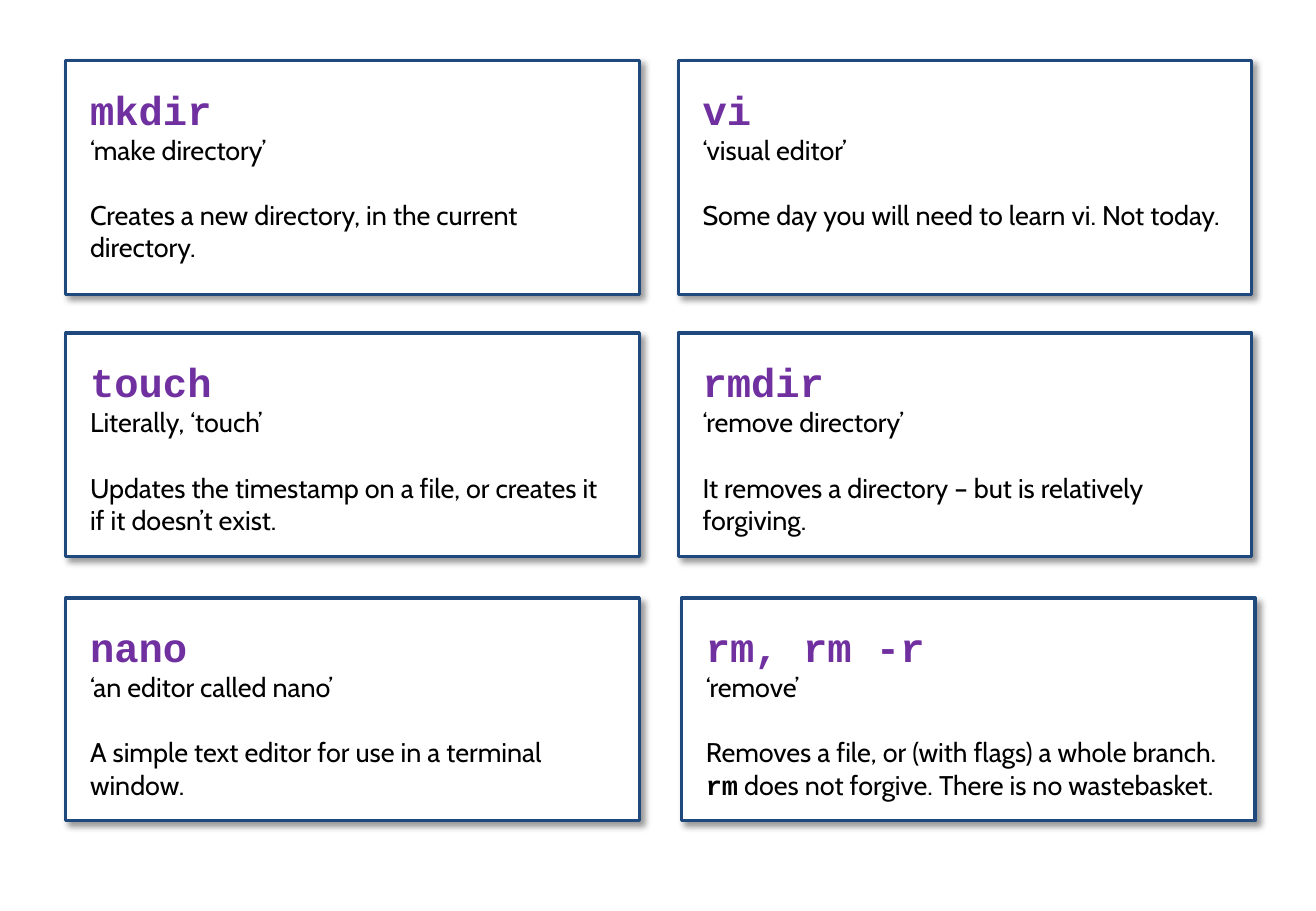
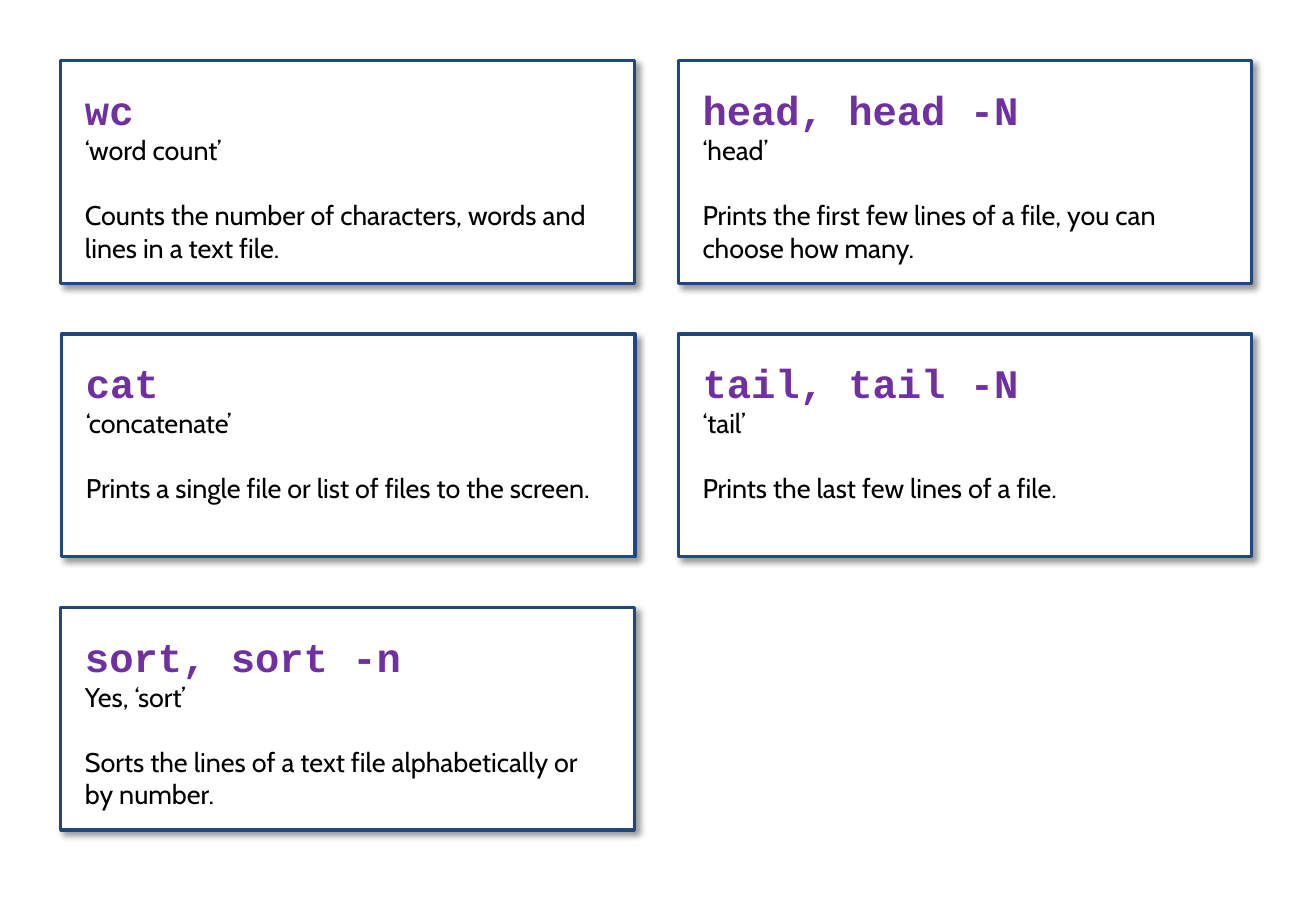
from lxml import etree
from pptx import Presentation
from pptx.dml.color import RGBColor
from pptx.enum import shapes, text
from pptx.oxml import ns
from pptx.util import Pt

COLORS = {"card": "FFFFFF", "border": "1F497D", "command": "7030A0",
          "body": "000000", "shadow": "000000"}
CODE_FONT, BODY_FONT = "Courier New", "Cabin"
CARD_WIDTH, INSET = 340, 14.4
BODY_SIZE, BODY_GAP = 16, 19.4

EDITING_ROWS = [
    (36, 138.5, [
        (39, "mkdir", "‘make directory’",
         ["Creates a new directory, in the current directory."]),
        (402, "vi", "‘visual editor’",
         ["Some day you will need to learn vi. Not today."])]),
    (197.5, 132.5, [
        (39, "touch", "Literally, ‘touch’",
         ["Updates the timestamp on a file, or creates it if it doesn’t exist."]),
        (402, "rmdir", "‘remove directory’",
         ["It removes a directory – but is relatively forgiving."])]),
    (354.5, 132, [
        (39, "nano", "‘an editor called nano’",
         ["A simple text editor for use in a terminal window."]),
        (404, "rm, rm -r", "‘remove’",
         ["Removes a file, or (with flags) a whole branch. ", "rm",
          " does not forgive. There is no wastebasket."])]),
]
READING_ROWS = [
    (36, 132, [
        (36, "wc", "‘word count’",
         ["Counts the number of characters, words and lines in a text file."]),
        (402, "head, head -N", "‘head’",
         ["Prints the first few lines of a file, you can choose how many."])]),
    (198, 132, [
        (36.5, "cat", "‘concatenate’",
         ["Prints a single file or list of files to the screen."]),
        (402, "tail, tail -N", "‘tail’",
         ["Prints the last few lines of a file."])]),
    (360, 132, [
        (36, "sort, sort -n", "Yes, ‘sort’",
         ["Sorts the lines of a text file alphabetically or by number."])]),
]


def color(name):
    """Return the named palette colour."""
    return RGBColor.from_string(COLORS[name])


def style_run(run, font, size, bold, color_name):
    """Apply a complete character style to a run."""
    run.font.name = font
    run.font.size = Pt(size)
    run.font.bold = bold
    run.font.color.rgb = color(color_name)


def add_shadow(card):
    """Give a card a soft shadow towards the lower right."""
    card.shadow.inherit = False
    effects = card._element.spPr.find(ns.qn("a:effectLst"))
    outer = etree.SubElement(effects, ns.qn("a:outerShdw"), blurRad=str(Pt(4)),
                             dist=str(Pt(3)), dir="2700000", algn="tl",
                             rotWithShape="0")
    tint = etree.SubElement(outer, ns.qn("a:srgbClr"), val=COLORS["shadow"])
    etree.SubElement(tint, ns.qn("a:alpha"), val="40000")


def add_card(slide, box, command, meaning, description):
    """Draw one command card; every second part of its description is code."""
    card = slide.shapes.add_shape(shapes.MSO_SHAPE.RECTANGLE, *map(Pt, box))
    card.fill.solid()
    card.fill.fore_color.rgb = color("card")
    card.line.color.rgb = color("border")
    card.line.width = Pt(2)
    add_shadow(card)

    frame = card.text_frame
    frame.word_wrap = True
    frame.vertical_anchor = text.MSO_ANCHOR.TOP
    frame.margin_left = frame.margin_right = Pt(INSET)
    frame.margin_top = frame.margin_bottom = Pt(INSET)
    frame.text = "\n".join([command, meaning, description[0]])
    heading, subtitle, details = frame.paragraphs
    for part in description[1:]:
        details.add_run().text = part
    for paragraph in frame.paragraphs:
        paragraph.alignment = text.PP_ALIGN.LEFT
    details.space_before = Pt(BODY_GAP)

    style_run(heading.runs[0], CODE_FONT, 24, True, "command")
    style_run(subtitle.runs[0], BODY_FONT, BODY_SIZE, False, "body")
    for index, run in enumerate(details.runs):
        is_code = index % 2 == 1
        style_run(run, CODE_FONT if is_code else BODY_FONT, BODY_SIZE, is_code, "body")


def add_card_slide(deck, rows):
    """Add a slide holding rows of command cards."""
    slide = deck.slides.add_slide(deck.slide_layouts[6])
    for top, height, cards in rows:
        for left, *content in cards:
            add_card(slide, (left, top, CARD_WIDTH, height), *content)


def main():
    """Build and save the command cards."""
    deck = Presentation()
    deck.slide_width, deck.slide_height = Pt(780), Pt(540)
    for rows in (EDITING_ROWS, READING_ROWS):
        add_card_slide(deck, rows)
    deck.save("out.pptx")


if __name__ == "__main__":
    main()
